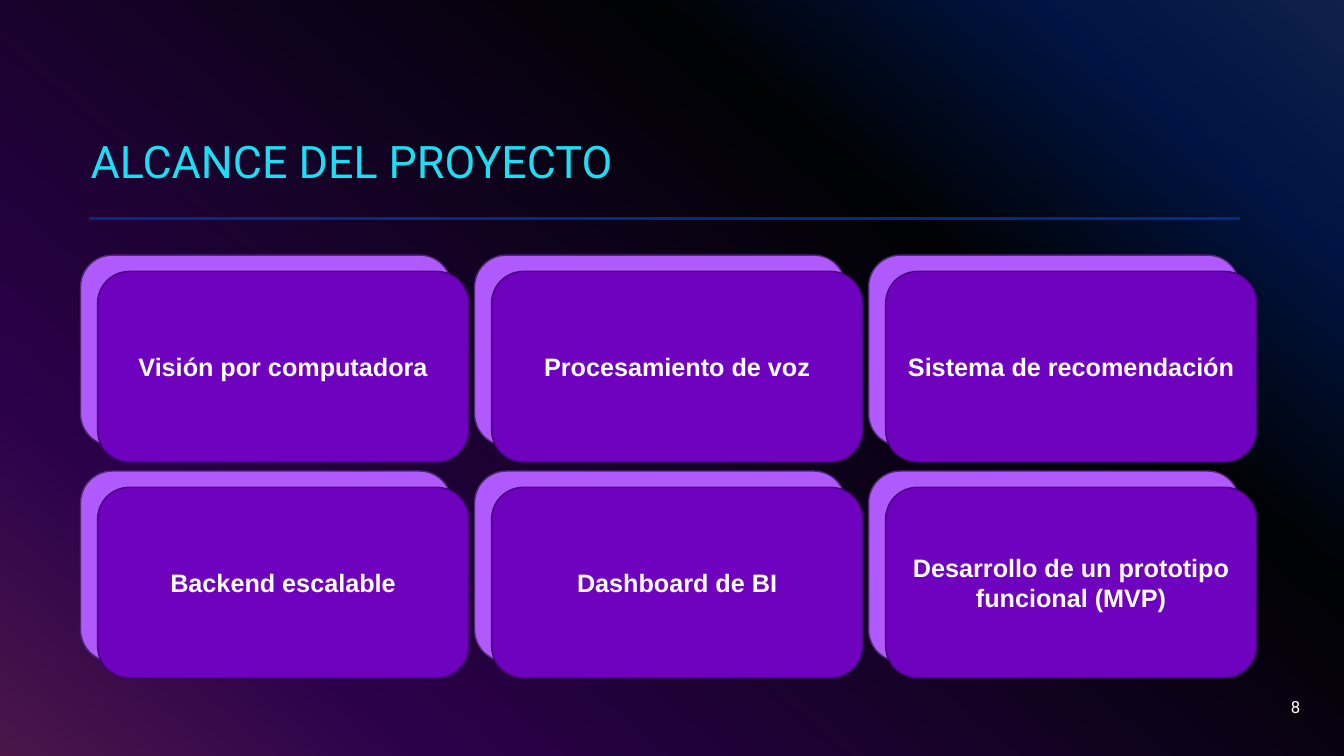
import pptx
import pptx.dml.color
import pptx.enum.shapes
import pptx.enum.text
import pptx.oxml
import pptx.oxml.ns
import pptx.util

Cm = pptx.util.Cm
Pt = pptx.util.Pt
ALIGN = pptx.enum.text.PP_ALIGN
ANCHOR = pptx.enum.text.MSO_ANCHOR
SHAPE = pptx.enum.shapes.MSO_SHAPE
NS = pptx.oxml.ns.nsdecls("a")

HUES = {
    "veil": "000000", "rule": "032B86", "title": "1CDFF5", "text": "FFFFFF",
    "back": "B059FD", "edge": "4D276F", "card": "6F02BE", "rim": "4A027F",
}
STOPS = [(0, "316CFC"), (14, "0343DF"), (31, "02090E"), (81, "9405FC"), (100, "FC4EFB")]
CARDS = [
    ["Visión por computadora", "Procesamiento de voz", "Sistema de recomendación"],
    ["Backend escalable", "Dashboard de BI", "Desarrollo de un prototipo funcional (MVP)"],
]


def write(shape, text, size, font, hue, bold=False, align=ALIGN.LEFT,
          anchor=ANCHOR.MIDDLE, space=1.0):
    frame = shape.text_frame
    frame.word_wrap = True
    frame.vertical_anchor = anchor
    para = frame.paragraphs[0]
    para.alignment = align
    para.line_spacing = space
    run = para.add_run()
    run.text = text
    run.font.size = Pt(size)
    run.font.name = font
    run.font.bold = bold
    run.font.color.rgb = pptx.dml.color.RGBColor.from_string(HUES[hue])


def block(kind, left, top, wide, high, fill, line=None):
    shape = slide.shapes.add_shape(kind, Cm(left), Cm(top), Cm(wide), Cm(high))
    shape.shadow.inherit = False
    shape.fill.solid()
    shape.fill.fore_color.rgb = pptx.dml.color.RGBColor.from_string(HUES[fill])
    if line:
        shape.line.color.rgb = pptx.dml.color.RGBColor.from_string(HUES[line])
        shape.line.width = Pt(1)
    else:
        shape.line.fill.background()
    return shape


deck = pptx.Presentation()
deck.slide_width, deck.slide_height = Cm(33.87), Cm(19.05)
slide = deck.slides.add_slide(deck.slide_layouts[5])

# Gradient background
fill = slide.background.fill
fill.gradient()
fill.gradient_angle = 230
stops = next(slide.background._cSld.iter(pptx.oxml.ns.qn("a:gsLst")))
for old in list(stops):
    stops.remove(old)
for place, hue in STOPS:
    stops.append(pptx.oxml.parse_xml(
        f'<a:gs {NS} pos="{place * 1000}"><a:srgbClr val="{hue}"/></a:gs>'))

# Dark veil, 70 % opaque
veil = block(SHAPE.RECTANGLE, 0, 0, 33.87, 19.05, "veil")
tint = next(veil._element.spPr.iter(pptx.oxml.ns.qn("a:srgbClr")))
tint.append(pptx.oxml.parse_xml(f'<a:alpha {NS} val="70000"/>'))

# Title, brought in front of the veil
title = slide.shapes.title
veil._element.addnext(title._element)
title.left, title.top, title.width, title.height = Cm(2.03), Cm(1.19), Cm(29.21), Cm(3.68)
write(title, "ALCANCE DEL PROYECTO", 32, "Roboto", "title", anchor=ANCHOR.BOTTOM, space=0.9)

# Rule under the title
rule = slide.shapes.add_connector(
    pptx.enum.shapes.MSO_CONNECTOR.STRAIGHT, Cm(2.24), Cm(5.51), Cm(31.24), Cm(5.51))
rule.line.color.rgb = pptx.dml.color.RGBColor.from_string(HUES["rule"])
rule.line.width = Pt(2)
rule._element.spPr.append(pptx.oxml.parse_xml(f"<a:effectLst {NS}/>"))

# Grid of stacked cards
for row, names in enumerate(CARDS):
    for col, name in enumerate(names):
        left, top = 2.03 + 9.93 * col, 6.43 + 5.44 * row
        block(SHAPE.ROUNDED_RECTANGLE, left, top, 9.35, 4.8, "back", "edge")
        card = block(SHAPE.ROUNDED_RECTANGLE, left + 0.43, top + 0.41, 9.35, 4.8, "card", "rim")
        card.text_frame.margin_left = card.text_frame.margin_right = Cm(0.18)
        write(card, name, 18, "Arial", "text", bold=True, align=ALIGN.CENTER)

# Page number
page = slide.shapes.add_textbox(Cm(25.4), Cm(17.3), Cm(7.62), Cm(1.02))
write(page, "8", 12, "Roboto", "text", align=ALIGN.RIGHT)

deck.save("out.pptx")
